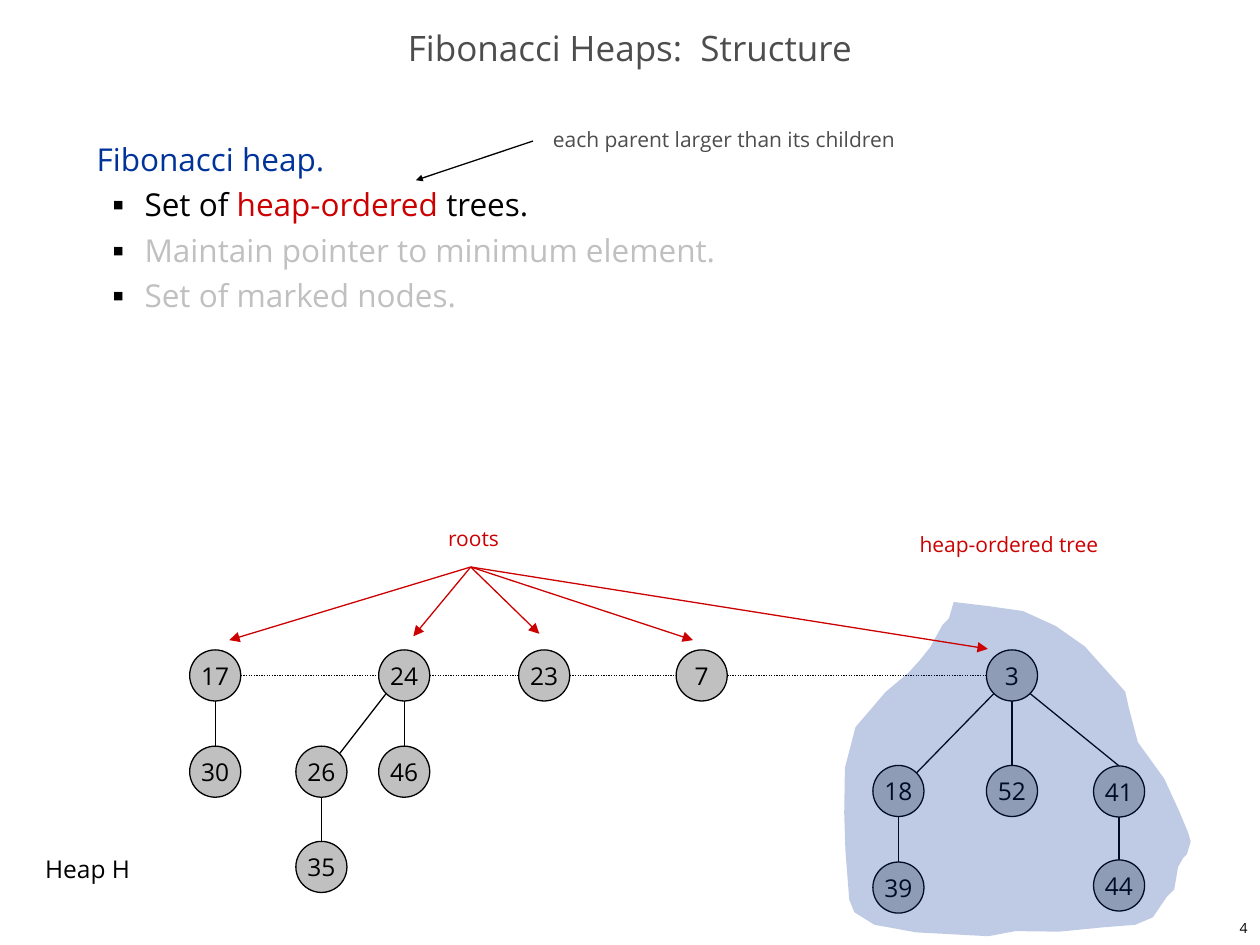
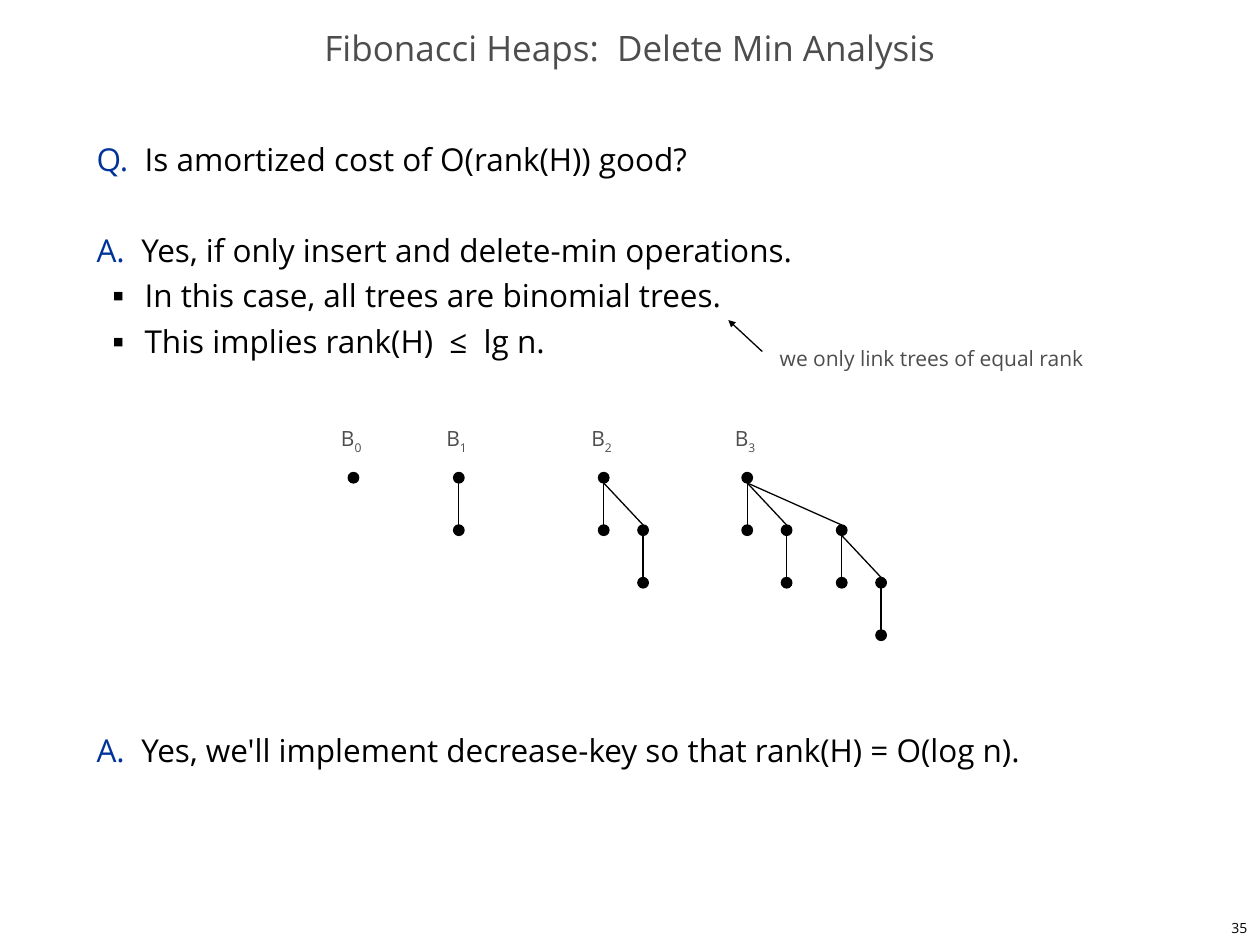
"""Build two lecture slides on Fibonacci heaps: structure and delete-min analysis."""
from dataclasses import dataclass

from lxml import etree
from pptx import Presentation
from pptx.dml import color as dml
from pptx.enum import dml as line_styles, shapes, text
from pptx.oxml import ns
from pptx.util import Pt


@dataclass(frozen=True)
class Theme:
    font: str = "Open Sans"
    ink: str = "000000"
    title: str = "4D4D4D"
    blue: str = "003399"
    red: str = "CC0000"
    gray: str = "C0C0C0"
    title_size: int = 20
    body_size: int = 18
    node_size: int = 14
    note_size: int = 12
    page_size: int = 8
    line_width: float = 0.75
    line_pitch: int = 26


THEME = Theme()

STRUCTURE = {
    "title": "Fibonacci Heaps:  Structure",
    "page": "4",
    "body": [
        {"runs": [("Fibonacci heap.", THEME.blue)]},
        {"bullet": True, "runs": [("Set of ", THEME.ink), ("heap-ordered", THEME.red), (" trees.", THEME.ink)]},
        {"bullet": True, "runs": [("Maintain pointer to minimum element.", THEME.gray)]},
        {"bullet": True, "runs": [("Set of marked nodes.", THEME.gray)]},
    ],
}
ANALYSIS = {
    "title": "Fibonacci Heaps:  Delete Min Analysis",
    "page": "35",
    "body": [
        {"runs": [("Q.  ", THEME.blue), ("Is amortized cost of O(rank(H)) good?", THEME.ink)]},
        {"lines_before": 1,
         "runs": [("A.  ", THEME.blue), ("Yes, if only insert and delete-min operations.", THEME.ink)]},
        {"bullet": True, "runs": [("In this case, all trees are binomial trees.", THEME.ink)]},
        {"bullet": True, "runs": [("This implies rank(H)  ≤  lg n.", THEME.ink)]},
        {"lines_before": 8,
         "runs": [("A.  ", THEME.blue),
                  ("Yes, we'll implement decrease-key so that rank(H) = O(log n).", THEME.ink)]},
    ],
}

HEAP_NODES = {
    17: (123, 386), 24: (231, 386), 23: (311, 386), 7: (401, 386), 3: (578.3, 386),
    30: (123, 441), 26: (183.7, 441), 46: (231, 441), 35: (183.7, 495.4),
    18: (513.4, 452), 52: (578.3, 452), 41: (639.5, 452.3), 39: (513.4, 507.2), 44: (639.5, 506),
}
HEAP_ROOTS = [17, 24, 23, 7, 3]
HEAP_EDGES = [(17, 30), (24, 26), (24, 46), (26, 35), (3, 18), (3, 52), (3, 41), (18, 39), (41, 44)]
NODE_DIAMETER = 29.2
ROOTS_ORIGIN = (269, 324)
ROOTS_TIPS = [(131, 365.8), (236.2, 363.6), (308.2, 362.2), (396, 365.8), (564.5, 370.8)]
TREE_OUTLINE = [
    (545, 344), (565, 346.4), (584.6, 349.2), (603.4, 357.8), (619.9, 369.4), (637.9, 389.5),
    (643, 395.3), (645.1, 404.6), (650.2, 424.1), (665.3, 445), (673.9, 463.7), (679, 475.9),
    (680.4, 481), (678.2, 488.2), (676.1, 490.3), (673.2, 495.4), (671, 508.3), (666.7, 512.6),
    (658.8, 524.2), (648.7, 528.5), (630.7, 529.9), (605.2, 532.4), (580.3, 532.1), (564.8, 535),
    (523.4, 532.8), (507.6, 529.9), (499.7, 528.5), (488.2, 521.3), (485.3, 514.1), (483.1, 486),
    (482.4, 464.8), (482.8, 438.8), (488.9, 415.4), (493.9, 409.7), (506.2, 395.3), (514.8, 388.1),
    (519.1, 384.5), (525.6, 377.3), (531.4, 370.1), (538.6, 357.1), (542.2, 353.5),
]

BINOMIAL_ROOTS = [202, 262.2, 345, 427]
BINOMIAL_TOP = 273
CHILD_SHIFTS = [0, 22.5, 54]
CHILD_DROP = 30
DOT_DIAMETER = 6


def rgb(value):
    """Turn a hex string into a colour."""
    return dml.RGBColor.from_string(value)


def place(shape, left, top, width, height):
    """Move and size a shape in points."""
    shape.left, shape.top, shape.width, shape.height = map(Pt, (left, top, width, height))


def write(paragraph, parts, size):
    """Fill a paragraph with (text, colour) runs."""
    for words, colour in parts:
        run = paragraph.add_run()
        run.text = words
        run.font.name, run.font.size = THEME.font, Pt(size)
        run.font.color.rgb = rgb(colour)


def add_label(slide, words, box, size=THEME.note_size, colour=THEME.title):
    """Add a one-line text box and return its paragraph."""
    label = slide.shapes.add_textbox(*map(Pt, box))
    label.text_frame.word_wrap = False
    paragraph = label.text_frame.paragraphs[0]
    write(paragraph, [(words, colour)], size)
    return paragraph


def add_line(slide, start, end, colour=THEME.ink, dotted=False, head=None):
    """Draw a straight line, with an arrowhead of the given size if any."""
    line = slide.shapes.add_connector(shapes.MSO_CONNECTOR.STRAIGHT, *map(Pt, (*start, *end)))
    line.line.color.rgb = rgb(colour)
    line.line.width = Pt(THEME.line_width)
    if dotted:
        line.line.dash_style = line_styles.MSO_LINE.ROUND_DOT
    if head:
        etree.SubElement(line.line._get_or_add_ln(), ns.qn("a:tailEnd"), type="triangle", w=head, len=head)
    etree.SubElement(line._element.spPr, ns.qn("a:effectLst"))


def add_circle(slide, centre, diameter, fill):
    """Draw an outlined circle around a centre."""
    x, y = centre
    circle = slide.shapes.add_shape(shapes.MSO_SHAPE.OVAL, Pt(x - diameter / 2), Pt(y - diameter / 2),
                                    Pt(diameter), Pt(diameter))
    circle.shadow.inherit = False
    circle.fill.solid()
    circle.fill.fore_color.rgb = rgb(fill)
    circle.line.color.rgb = rgb(THEME.ink)
    circle.line.width = Pt(THEME.line_width)
    return circle


def format_body_paragraph(paragraph, item):
    """Set spacing, indent and bullet of a body paragraph."""
    paragraph.line_spacing = Pt(THEME.line_pitch)
    paragraph.space_before = Pt(THEME.line_pitch * item.get("lines_before", 0))
    paragraph.space_after = Pt(0)
    properties = paragraph._p.get_or_add_pPr()
    if item.get("bullet"):
        paragraph.level = 1
        properties.set("marL", str(Pt(27.4)))
        properties.set("indent", str(Pt(-18)))
        bullet_colour = etree.SubElement(properties, ns.qn("a:buClr"))
        etree.SubElement(bullet_colour, ns.qn("a:srgbClr"), val=THEME.ink)
        etree.SubElement(properties, ns.qn("a:buSzPct"), val="35000")
        etree.SubElement(properties, ns.qn("a:buFont"), typeface=THEME.font)
        etree.SubElement(properties, ns.qn("a:buChar"), char="■")
    else:
        properties.set("marL", "0")
        properties.set("indent", "0")
        etree.SubElement(properties, ns.qn("a:buNone"))


def add_slide(presentation, content):
    """Add a slide with its title, body and page number."""
    slide = presentation.slides.add_slide(presentation.slide_layouts[1])
    title, body = slide.placeholders
    place(title, 0, 12.2, 720, 36)
    place(body, 48, 72, 618, 426)
    for holder in (title, body):
        holder.text_frame.auto_size = text.MSO_AUTO_SIZE.NONE
    title.text_frame.vertical_anchor = text.MSO_ANCHOR.MIDDLE
    heading = title.text_frame.paragraphs[0]
    heading.alignment = text.PP_ALIGN.CENTER
    heading.line_spacing = 0.7
    write(heading, [(content["title"], THEME.title)], THEME.title_size)
    body.text_frame.vertical_anchor = text.MSO_ANCHOR.TOP
    for index, item in enumerate(content["body"]):
        frame = body.text_frame
        paragraph = frame.add_paragraph() if index else frame.paragraphs[0]
        format_body_paragraph(paragraph, item)
        write(paragraph, item["runs"], THEME.body_size)
    page = add_label(slide, content["page"], (570, 522, 150, 18), THEME.page_size, THEME.ink)
    page.alignment = text.PP_ALIGN.RIGHT
    return slide


def add_heap_edge(slide, parent, child):
    """Join two heap nodes, leaving slanted parents at their lower corners."""
    (parent_x, parent_y), (child_x, child_y) = HEAP_NODES[parent], HEAP_NODES[child]
    radius = NODE_DIAMETER / 2
    corner = radius * 0.71
    start, end = (parent_x, parent_y + radius), (child_x, child_y - radius)
    if child_x < parent_x:
        start, end = (parent_x - corner, parent_y + corner), (child_x + corner, child_y - corner)
    elif child_x > parent_x:
        start = (parent_x + corner, parent_y + corner)
    add_line(slide, start, end)


def add_heap(slide):
    """Draw the heap's edges, root list and nodes."""
    radius = NODE_DIAMETER / 2
    for left, right in zip(HEAP_ROOTS, HEAP_ROOTS[1:]):
        (left_x, y), (right_x, _) = HEAP_NODES[left], HEAP_NODES[right]
        add_line(slide, (left_x + radius, y), (right_x - radius, y), dotted=True)
    for parent, child in HEAP_EDGES:
        add_heap_edge(slide, parent, child)
    for key, centre in HEAP_NODES.items():
        frame = add_circle(slide, centre, NODE_DIAMETER, THEME.gray).text_frame
        frame.word_wrap = False
        frame.vertical_anchor = text.MSO_ANCHOR.MIDDLE
        frame.paragraphs[0].alignment = text.PP_ALIGN.CENTER
        write(frame.paragraphs[0], [(str(key), THEME.ink)], THEME.node_size)


def add_tree_highlight(slide):
    """Lay a translucent outline over the heap-ordered tree."""
    points = [(Pt(x), Pt(y)) for x, y in TREE_OUTLINE]
    builder = slide.shapes.build_freeform(*points[0])
    builder.add_line_segments(points[1:], close=True)
    highlight = builder.convert_to_shape()
    highlight.shadow.inherit = False
    highlight.fill.solid()
    highlight.fill.fore_color.rgb = rgb(THEME.blue)
    colour = highlight._element.spPr.find(".//" + ns.qn("a:srgbClr"))
    etree.SubElement(colour, ns.qn("a:alpha"), val="25000")
    highlight.line.fill.background()


def add_binomial_tree(slide, rank, x, y):
    """Draw a binomial tree, whose children are the trees of lower rank."""
    radius = DOT_DIAMETER / 2
    add_circle(slide, (x, y), DOT_DIAMETER, THEME.ink)
    for child_rank, shift in enumerate(CHILD_SHIFTS[:rank]):
        child_x, child_y = x + shift, y + CHILD_DROP
        add_line(slide, (x, y + radius), (child_x, child_y - radius))
        add_binomial_tree(slide, child_rank, child_x, child_y)


def build_structure(presentation):
    """Build the slide that shows a heap and its parts."""
    slide = add_slide(presentation, STRUCTURE)
    add_heap(slide)
    add_label(slide, "Heap H", (18.7, 484.6, 64, 24), THEME.node_size, THEME.ink)
    add_label(slide, "roots", (249, 296.6, 44, 21.6), colour=THEME.red)
    add_tree_highlight(slide)
    add_label(slide, "heap-ordered tree", (518.4, 300.4, 118.8, 21.6), colour=THEME.red)
    for tip in ROOTS_TIPS:
        add_line(slide, ROOTS_ORIGIN, tip, THEME.red, head="med")
    add_label(slide, "each parent larger than its children", (308.9, 69, 219.6, 21.6))
    add_line(slide, (304.6, 80.6), (237.6, 103), head="sm")


def build_analysis(presentation):
    """Build the slide that shows the first binomial trees."""
    slide = add_slide(presentation, ANALYSIS)
    for rank, x in enumerate(BINOMIAL_ROOTS):
        add_binomial_tree(slide, rank, x, BINOMIAL_TOP)
        label = add_label(slide, "B", (x - 14.2, 239.8, 26.6, 21.6))
        write(label, [(str(rank), THEME.title)], THEME.note_size)
        label.runs[1]._r.get_or_add_rPr().set("baseline", "-25000")
    add_label(slide, "we only link trees of equal rank", (438.5, 193.7, 198.7, 21.6))
    add_line(slide, (435.6, 200.9), (416.2, 182.9), head="sm")


def main():
    """Build and save the presentation."""
    presentation = Presentation()
    presentation.slide_width, presentation.slide_height = Pt(720), Pt(540)
    build_structure(presentation)
    build_analysis(presentation)
    presentation.save("out.pptx")


if __name__ == "__main__":
    main()
